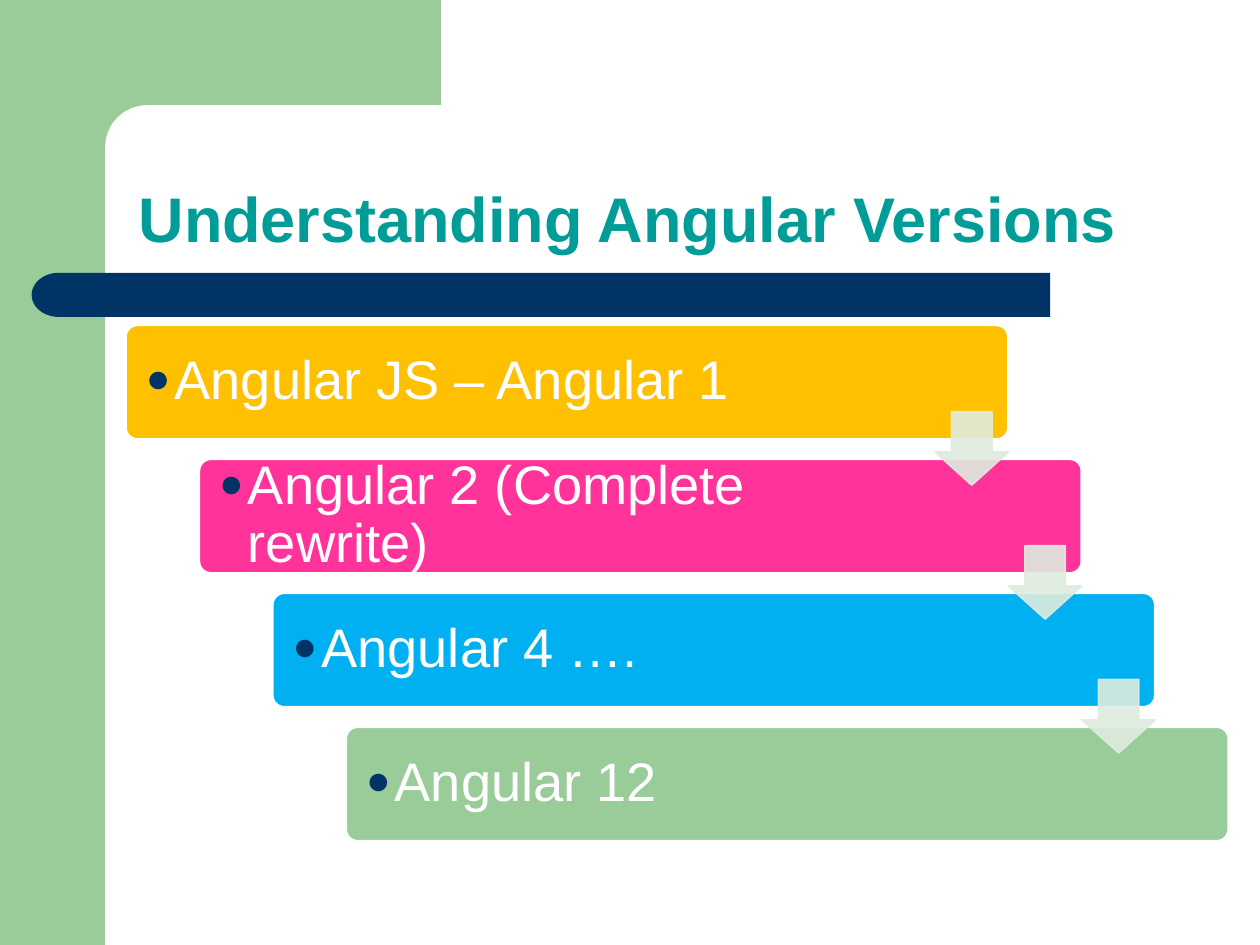
from lxml import etree
from pptx import Presentation
from pptx.dml.color import RGBColor
from pptx.enum import shapes, text
from pptx.oxml import ns
from pptx.util import Cm, Pt

COLOURS = {
    "green": "99CC99", "navy": "003366", "white": "FFFFFF", "teal": "009C98",
    "amber": "FFC000", "pink": "FF3399", "blue": "00B0F0", "pale": "DEECDE",
}
VERSIONS = [
    ("Angular JS – Angular 1", "amber"),
    ("Angular 2 (Complete rewrite)", "pink"),
    ("Angular 4 ….", "blue"),
    ("Angular 12", "green"),
]
STEP_X, STEP_Y = 1.48, 2.7
KIND = shapes.MSO_SHAPE


def rgb(name):
    return RGBColor.from_string(COLOURS[name])


def add_block(slide, kind, box, fill, line=None, adjust=()):
    block = slide.shapes.add_shape(kind, *map(Cm, box))
    block.shadow.inherit = False
    block.fill.solid()
    block.fill.fore_color.rgb = rgb(fill)
    if line:
        block.line.color.rgb = rgb(line)
        block.line.width = Pt(1)
    else:
        block.line.fill.background()
    for index, value in enumerate(adjust):
        block.adjustments[index] = value
    return block


def style(paragraph, size, colour, bold=False):
    paragraph.alignment = text.PP_ALIGN.LEFT
    paragraph.line_spacing = 0.9
    paragraph.font.name = "Arial"
    paragraph.font.size = Pt(size)
    paragraph.font.bold = bold
    paragraph.font.color.rgb = rgb(colour)


def add_bullet(paragraph):
    properties = paragraph._p.get_or_add_pPr()
    properties.set("marL", str(Cm(0.58)))
    properties.set("indent", str(-Cm(0.58)))
    bullet = etree.fromstring(
        f'<a:b {ns.nsdecls("a")}>'
        f'<a:buClr><a:srgbClr val="{COLOURS["navy"]}"/></a:buClr>'
        '<a:buSzPct val="75000"/><a:buFont typeface="Arial"/>'
        '<a:buChar char="●"/></a:b>')
    position = properties.index(properties.find(ns.qn("a:defRPr")))
    properties[position:position] = list(bullet)


def add_label(slide, wording, left, top):
    label = slide.shapes.add_textbox(Cm(left), Cm(top), Cm(14.7), Cm(2.16))
    frame = label.text_frame
    frame.word_wrap = True
    frame.vertical_anchor = text.MSO_ANCHOR.MIDDLE
    frame.margin_left = frame.margin_right = Cm(0.33)
    frame.margin_top = frame.margin_bottom = Cm(0.33)
    paragraph = frame.paragraphs[0]
    paragraph.text = wording
    style(paragraph, 31, "white")
    add_bullet(paragraph)


def add_arrow(slide, left, top):
    arrow = add_block(slide, KIND.DOWN_ARROW, (left, top, 1.48, 1.48),
                      "pale", "pale", (0.55, 0.45))
    for colour in arrow._element.spPr.iter(ns.qn("a:srgbClr")):
        etree.SubElement(colour, ns.qn("a:alpha")).set("val", "90000")


def add_backdrop(slide):
    add_block(slide, KIND.RECTANGLE, (0, 0, 2.12, 19.05), "green")
    add_block(slide, KIND.RECTANGLE, (1.9, 0, 6.99, 2.96), "green")
    add_block(slide, KIND.ROUNDED_RECTANGLE, (2.12, 2.12, 14.18, 1.7),
              "white", adjust=(0.5,))
    add_block(slide, KIND.RECTANGLE, (1.7, 5.5, 19.47, 0.89), "navy")
    cap = add_block(slide, KIND.FLOWCHART_DELAY, (0.64, 5.5, 1.09, 0.89), "navy")
    cap._element.spPr.find(ns.qn("a:xfrm")).set("flipH", "1")


def set_title(slide, wording):
    title = slide.shapes.title
    title.left, title.top, title.width, title.height = map(
        Cm, (2.54, 2.12, 22.23, 3.18))
    frame = title.text_frame
    frame.text = wording
    frame.vertical_anchor = text.MSO_ANCHOR.BOTTOM
    frame.auto_size = text.MSO_AUTO_SIZE.NONE
    style(frame.paragraphs[0], 36, "teal", True)
    slide.shapes._spTree.append(title._element)


def add_staircase(slide):
    for step, (wording, colour) in enumerate(VERSIONS):
        left, top = 2.54 + step * STEP_X, 6.56 + step * STEP_Y
        add_block(slide, KIND.ROUNDED_RECTANGLE, (left, top, 17.78, 2.29),
                  colour, "white", (0.1,))
        add_label(slide, wording, left + 0.07, top + 0.06)
    for step in range(len(VERSIONS) - 1):
        add_arrow(slide, 18.85 + step * STEP_X, 8.3 + step * STEP_Y)


def main():
    deck = Presentation()
    deck.slide_width, deck.slide_height = Cm(25.4), Cm(19.05)
    slide = deck.slides.add_slide(deck.slide_layouts[5])
    add_backdrop(slide)
    set_title(slide, "Understanding Angular Versions")
    add_staircase(slide)
    deck.save("out.pptx")


main()
